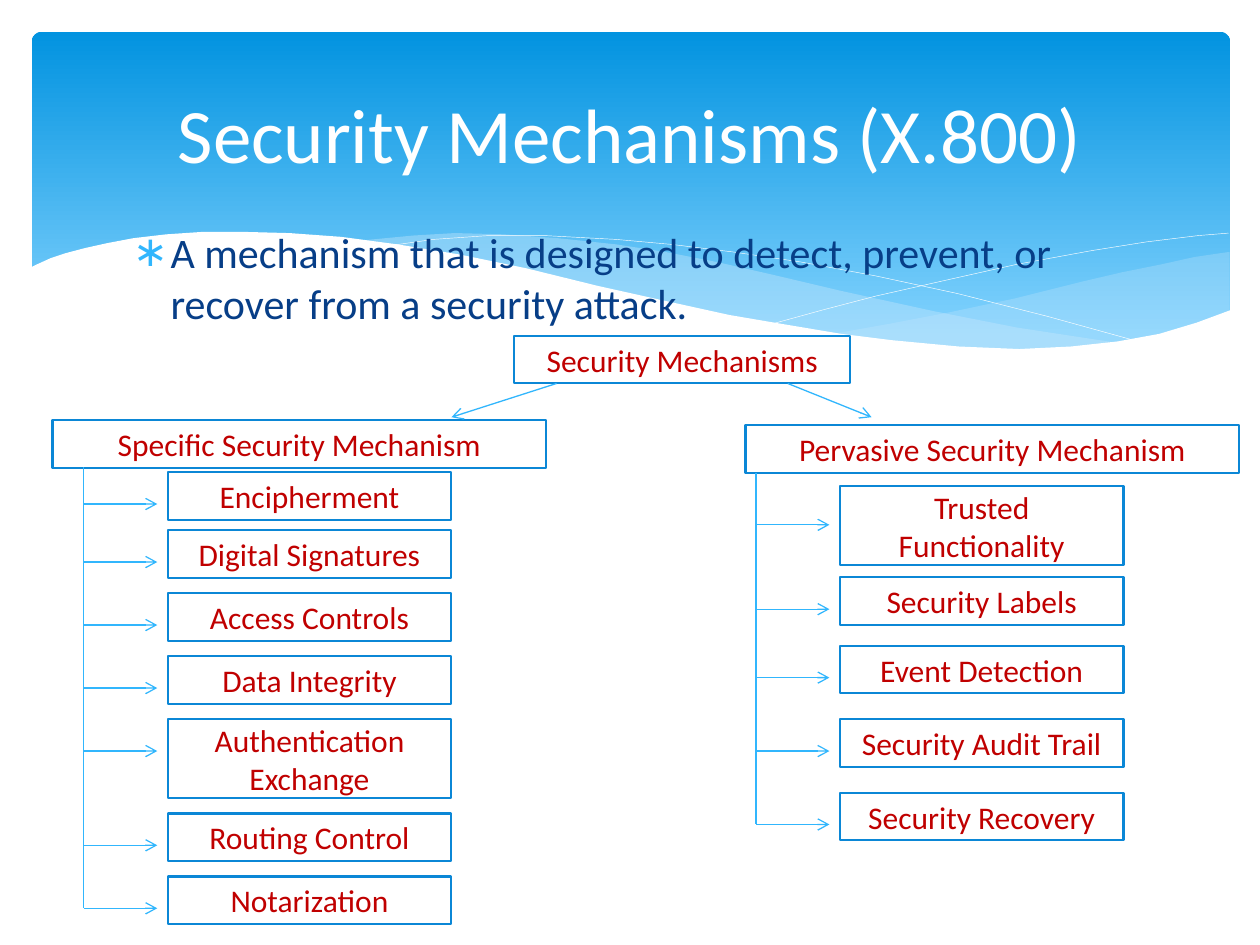
from lxml import etree
from pptx import Presentation
from pptx.dml.color import RGBColor
from pptx.enum.shapes import MSO_CONNECTOR, MSO_SHAPE
from pptx.enum.text import MSO_ANCHOR, PP_ALIGN
from pptx.oxml.ns import qn
from pptx.util import Cm, Pt

RECT, ROUND = MSO_SHAPE.RECTANGLE, MSO_SHAPE.ROUNDED_RECTANGLE
STRAIGHT = MSO_CONNECTOR.STRAIGHT
MIDDLE, CENTER = MSO_ANCHOR.MIDDLE, PP_ALIGN.CENTER
WHITE = RGBColor(0xFF, 0xFF, 0xFF)
DEEP = RGBColor(0x02, 0x93, 0xE0)
LIGHT = RGBColor(0x83, 0xD3, 0xFE)
PALE = RGBColor(0xC6, 0xE7, 0xFC)
NAVY = RGBColor(0x07, 0x3E, 0x87)
RED = RGBColor(0xC0, 0x00, 0x00)
EDGE = RGBColor(0x0B, 0x87, 0xD6)
SKY = RGBColor(0x31, 0xB6, 0xFD)
FONT = "Calibri"

prs = Presentation()
prs.slide_width, prs.slide_height = Cm(25.4), Cm(19.05)
slide = prs.slides.add_slide(prs.slide_layouts[5])
shapes = slide.shapes


def add_box(label, left, top, width, height=0.96):
    box = shapes.add_shape(RECT, Cm(left), Cm(top), Cm(width), Cm(height))
    box.shadow.inherit = False
    box.fill.solid()
    box.fill.fore_color.rgb = WHITE
    box.line.color.rgb = EDGE
    box.line.width = Pt(1.25)
    frame = box.text_frame
    frame.word_wrap = True
    frame.vertical_anchor = MIDDLE
    frame.margin_top = frame.margin_bottom = Cm(0)
    para = frame.paragraphs[0]
    para.alignment = CENTER
    run = para.add_run()
    run.text = label
    run.font.name, run.font.size = FONT, Pt(18)
    run.font.color.rgb = RED


def add_line(x1, y1, x2, y2, arrow=True):
    line = shapes.add_connector(STRAIGHT, Cm(x1), Cm(y1), Cm(x2), Cm(y2))
    line.line.color.rgb = SKY
    line.line.width = Pt(0.75)
    props = line.element.spPr
    if arrow:
        etree.SubElement(props.find(qn("a:ln")), qn("a:tailEnd"), type="arrow")
    etree.SubElement(props, qn("a:effectLst"))


# Blue banner
banner = shapes.add_shape(ROUND, Cm(0.64), Cm(0.64), Cm(24.16), Cm(6.86))
banner.adjustments[0] = 0.03
banner.shadow.inherit = False
banner.line.fill.background()
banner.fill.gradient()
banner.fill.gradient_angle = 270
for stop, color, place in zip(banner.fill.gradient_stops, (DEEP, LIGHT), (0, 0.9)):
    stop.color.rgb = color
    stop.position = place

# Waves: points in hundredths of an inch, fill, opacity in percent
waves = [
    ([(975, 200), (948, 204), (921, 210), (891, 216), (861, 223), (805, 237),
      (753, 248), (706, 257), (661, 265), (691, 269), (719, 272), (745, 275),
      (781, 277), (814, 278), (854, 276), (889, 272), (921, 265), (949, 257),
      (976, 247), (976, 200)], PALE, 29),
    ([(893, 273), (866, 269), (807, 260), (741, 247), (668, 231), (613, 218),
      (569, 208), (528, 200), (489, 194), (442, 189), (399, 186), (361, 185),
      (328, 187), (286, 191), (342, 199), (404, 211), (449, 222), (530, 240),
      (601, 255), (665, 266), (722, 274), (773, 277), (818, 278), (857, 277),
      (893, 273)], PALE, 40),
    ([(309, 195), (344, 190), (387, 187), (433, 187), (489, 190), (533, 194),
      (582, 200), (636, 208), (695, 219), (760, 233), (831, 251), (907, 272)],
     None, 100),
    ([(613, 257), (653, 246), (695, 235), (748, 223), (806, 210), (866, 199),
      (910, 192), (951, 187), (975, 185)], None, 100),
    ([(977, 246), (950, 256), (920, 265), (887, 271), (850, 275), (809, 277),
      (761, 275), (708, 270), (668, 265), (626, 258), (579, 250), (529, 239),
      (475, 227), (418, 213), (365, 202), (316, 194), (271, 188), (230, 185),
      (193, 184), (161, 184), (132, 186), (106, 189), (85, 193), (67, 197),
      (52, 201), (40, 205), (29, 210), (23, 213), (23, 329), (977, 329)],
     WHITE, 100),
]
for points, color, amount in waves:
    path = shapes.build_freeform(*points[0], scale=Cm(0.0254))
    path.add_line_segments(points[1:], close=color is not None)
    wave = path.convert_to_shape()
    wave.shadow.inherit = False
    if color is None:
        wave.fill.background()
        wave.line.color.rgb = WHITE
        wave.line.width = Pt(0.25)
        continue
    wave.line.fill.background()
    wave.fill.solid()
    wave.fill.fore_color.rgb = color
    if amount < 100:
        tint = wave.element.spPr.find(qn("a:solidFill"))[0]
        etree.SubElement(tint, qn("a:alpha"), val=str(amount * 1000))

# Definition
body = shapes.add_textbox(Cm(2.43), Cm(4.45), Cm(20.57), Cm(2.3))
body.text_frame.word_wrap = True
para = body.text_frame.paragraphs[0]
props = para._p.get_or_add_pPr()
props.set("marL", str(Cm(0.76)))
props.set("indent", str(Cm(-0.76)))
tint = etree.SubElement(props, qn("a:buClr"))
etree.SubElement(tint, qn("a:srgbClr"), val=str(SKY))
etree.SubElement(props, qn("a:buFont"), typeface=FONT)
etree.SubElement(props, qn("a:buChar"), char="∗")
run = para.add_run()
run.text = "A mechanism that is designed to detect, prevent, or recover from a security attack."
run.font.name, run.font.size = FONT, Pt(24)
run.font.color.rgb = NAVY

# Title, brought in front of the banner
title = shapes.title
shapes.element.append(title.element)
title.left, title.top = Cm(1.27), Cm(0.94)
title.width, title.height = Cm(22.86), Cm(3.48)
title.text_frame.vertical_anchor = MIDDLE
para = title.text_frame.paragraphs[0]
para.alignment = CENTER
run = para.add_run()
run.text = "Security Mechanisms (X.800)"
run.font.name, run.font.size = FONT, Pt(44)
run.font.color.rgb = WHITE

# Root and its two branches
add_box("Security Mechanisms", 10.37, 6.77, 6.77)
add_box("Specific Security Mechanism", 1.06, 8.47, 9.95)
add_box("Pervasive Security Mechanism", 15.03, 8.57, 9.95)
add_line(11.22, 7.73, 9.1, 8.41)
add_line(15.88, 7.73, 17.57, 8.41)

# Trees: trunk x and top, then label, box top, box height, arrow drop
trees = [
    (1.69, 9.42, [
        ("Encipherment", 9.52, 0.96, 0.64),
        ("Digital Signatures", 10.69, 0.96, 0.64),
        ("Access Controls", 11.96, 0.96, 0.64),
        ("Data Integrity", 13.23, 0.96, 0.64),
        ("Authentication Exchange", 14.5, 1.59, 0.64),
        ("Routing Control", 16.4, 0.96, 0.64),
        ("Notarization", 17.67, 0.96, 0.64)]),
    (15.24, 9.53, [
        ("Trusted Functionality", 9.8, 1.59, 0.78),
        ("Security Labels", 11.64, 0.96, 0.64),
        ("Event Detection", 13.02, 0.96, 0.64),
        ("Security Audit Trail", 14.5, 0.96, 0.64),
        ("Security Recovery", 15.98, 0.96, 0.64)]),
]
for x, start, rows in trees:
    for label, top, height, drop in rows:
        add_line(x, top + drop, x + 1.48, top + drop)
        add_box(label, x + 1.69, top, 5.72, height)
    add_line(x, start, x, top + drop, arrow=False)

prs.save("out.pptx")
